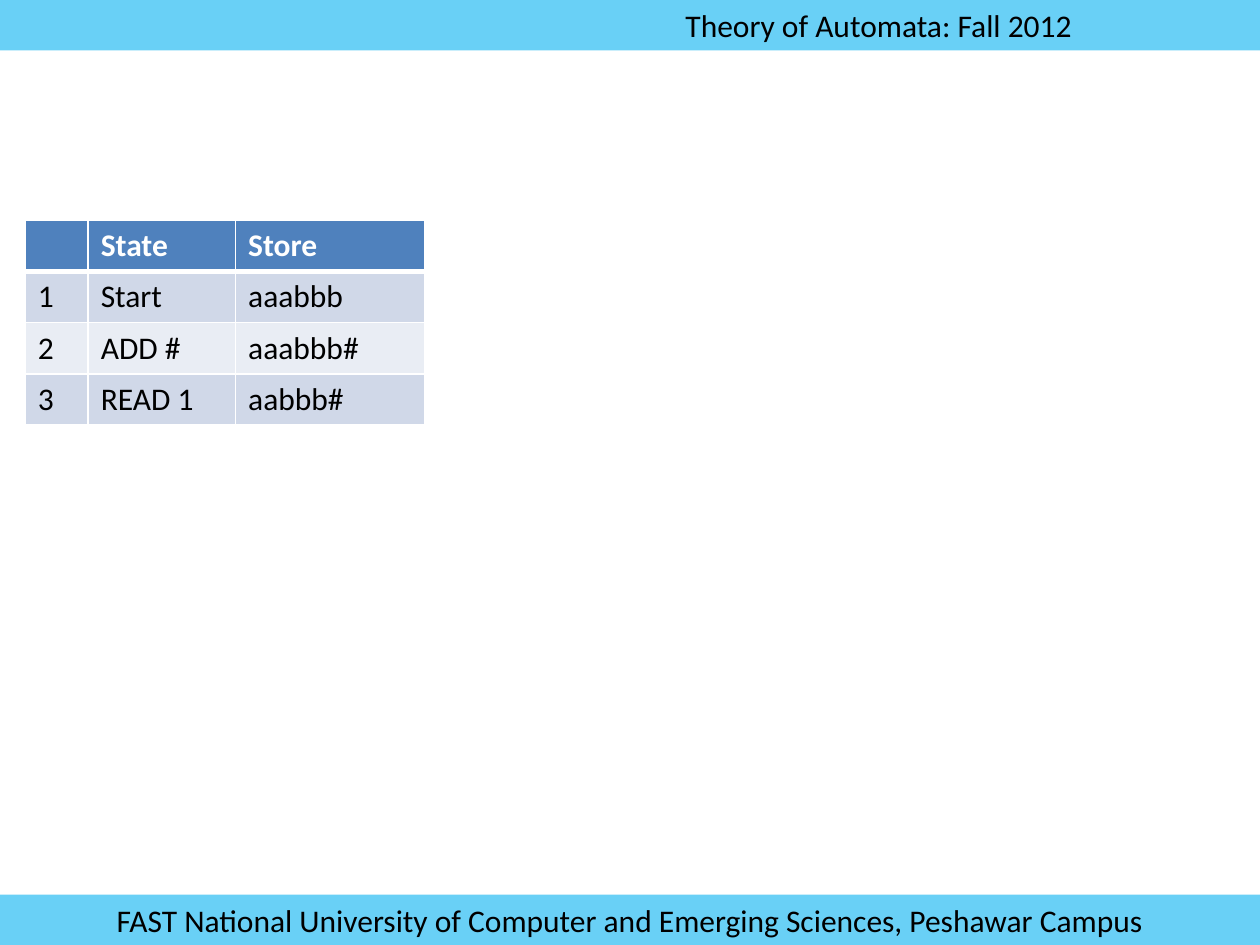
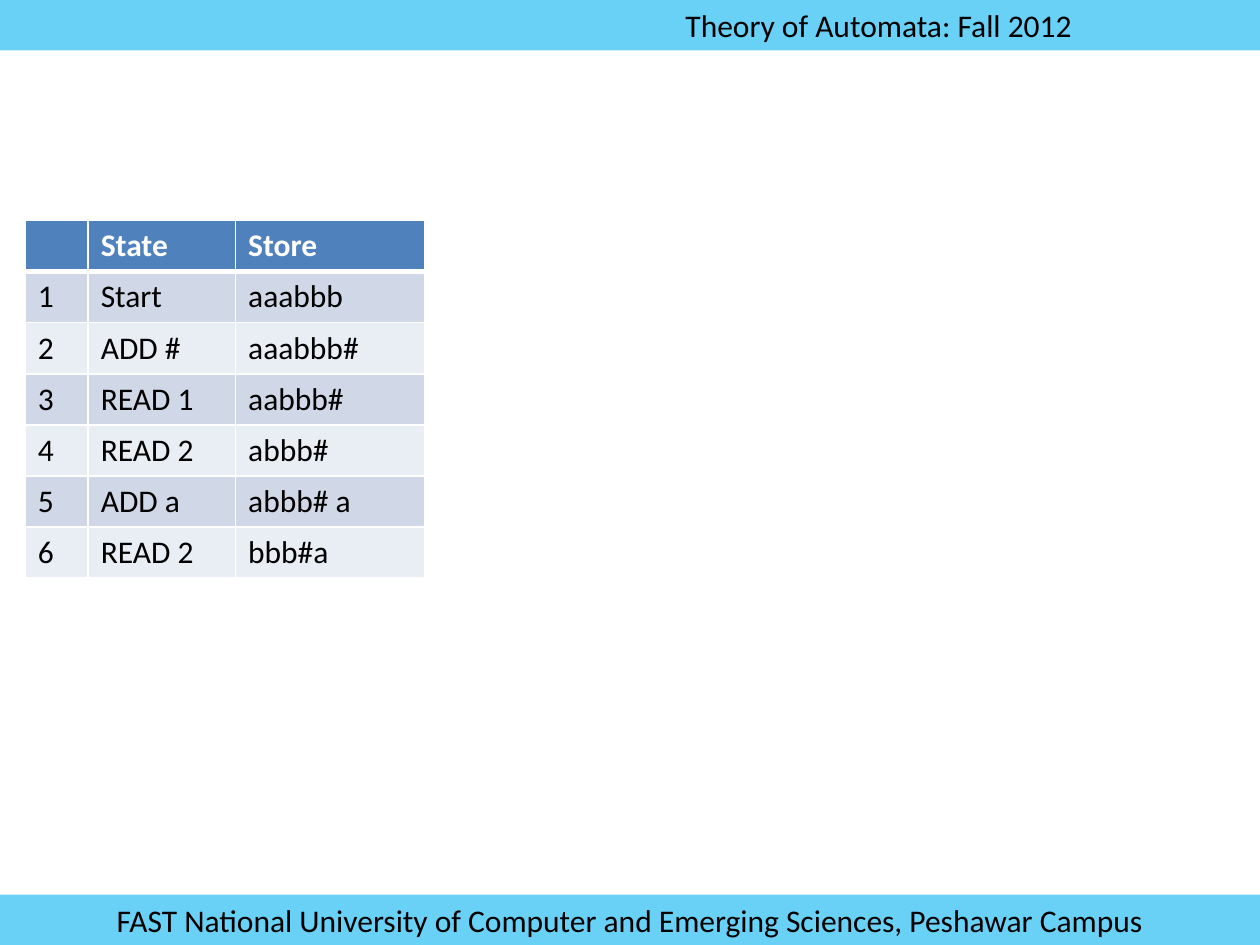
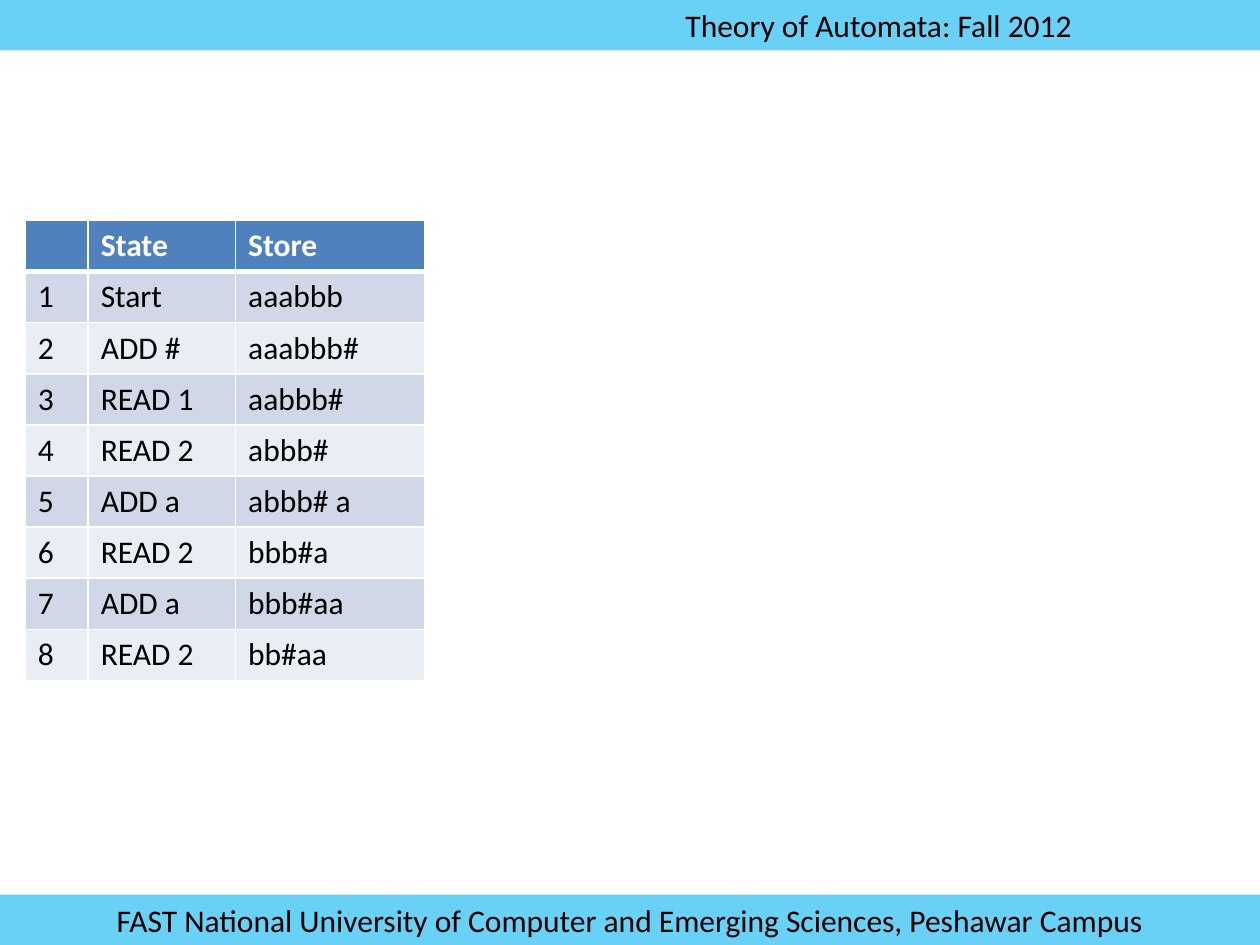
from lxml.etree import SubElement
from pptx import Presentation
from pptx.dml.color import RGBColor
from pptx.enum.shapes import MSO_SHAPE
from pptx.enum.text import MSO_ANCHOR, PP_ALIGN
from pptx.oxml.ns import qn
from pptx.util import Inches, Pt

COLOURS = {
    "band": "00B0F0",
    "header": "4F81BD",
    "odd_row": "D0D8E8",
    "even_row": "E9EDF4",
    "text": "000000",
    "white": "FFFFFF",
}
FONT = "Calibri"
TEXT_SIZE = Pt(18)
SLIDE_WIDTH, SLIDE_HEIGHT = Inches(10), Inches(7.5)
BAND_HEIGHT = Inches(0.4)
BAND_OPACITY = 59
TABLE_LEFT, TABLE_TOP = Inches(0.2), Inches(1.75)
COLUMN_WIDTHS = [Inches(width) for width in (0.5, 1.17, 1.5)]
ROW_HEIGHT = Inches(3.65) // 9

COURSE = "Theory of Automata: Fall 2012"
CAMPUS = "FAST National University of Computer and Emerging Sciences, Peshawar Campus"
TRACE = [
    ("Start", "aaabbb"),
    ("ADD #", "aaabbb#"),
    ("READ 1", "aabbb#"),
    ("READ 2", "abbb#"),
    ("ADD a", "abbb# a"),
    ("READ 2", "bbb#a"),
    ("ADD a", "bbb#aa"),
    ("READ 2", "bb#aa"),
]
STEPS_SHOWN = (3, 6, 8)


def colour(name):
    return RGBColor.from_string(COLOURS[name])


def format_paragraph(paragraph, colour_name, bold=False):
    font = paragraph.font
    font.name, font.size, font.bold = FONT, TEXT_SIZE, bold
    font.color.rgb = colour(colour_name)


def add_band(slide, top, text, alignment, left_margin):
    band = slide.shapes.add_shape(MSO_SHAPE.RECTANGLE, 0, top, SLIDE_WIDTH, BAND_HEIGHT)
    band.shadow.inherit = False
    band.line.fill.background()
    band.fill.solid()
    band.fill.fore_color.rgb = colour("band")
    fill_colour = band.element.spPr.find(qn("a:solidFill"))[0]
    SubElement(fill_colour, qn("a:alpha"), val=str(BAND_OPACITY * 1000))
    frame = band.text_frame
    frame.word_wrap = True
    frame.vertical_anchor = MSO_ANCHOR.MIDDLE
    frame.margin_left = left_margin
    frame.text = text
    paragraph = frame.paragraphs[0]
    paragraph.alignment = alignment
    format_paragraph(paragraph, "text")
    return band


def move_to_master(master, shape):
    tree = master.shapes.element
    highest_id = max(int(item.get("id")) for item in tree.iter(qn("p:cNvPr")))
    shape.element.nvSpPr.cNvPr.set("id", str(highest_id + 1))
    tree.append(shape.element)


def add_shared_bands(presentation, slide):
    header = add_band(slide, 0, COURSE, PP_ALIGN.LEFT, Inches(5.44))
    footer = add_band(slide, SLIDE_HEIGHT - BAND_HEIGHT, CAMPUS, PP_ALIGN.CENTER, Inches(0.1))
    for band in (header, footer):
        move_to_master(presentation.slide_master, band)


def set_borders(cell, bottom_width):
    properties = cell._tc.get_or_add_tcPr()
    widths = {"lnL": 1, "lnR": 1, "lnT": 1, "lnB": bottom_width}
    for position, (side, width) in enumerate(widths.items()):
        line = properties.makeelement(qn(f"a:{side}"), {"w": str(Pt(width))})
        fill = SubElement(line, qn("a:solidFill"))
        SubElement(fill, qn("a:srgbClr"), val=COLOURS["white"])
        properties.insert(position, line)


def format_cell(cell, text, row_number):
    is_header = row_number == 0
    fill_name = "header" if is_header else "odd_row" if row_number % 2 else "even_row"
    cell.text = text
    cell.fill.solid()
    cell.fill.fore_color.rgb = colour(fill_name)
    set_borders(cell, 3 if is_header else 1)
    format_paragraph(cell.text_frame.paragraphs[0], "white" if is_header else "text", is_header)


def add_trace_table(slide, step_count):
    steps = [(str(number), *step) for number, step in enumerate(TRACE[:step_count], 1)]
    rows = [("", "State", "Store"), *steps]
    table = slide.shapes.add_table(
        len(rows), len(COLUMN_WIDTHS), TABLE_LEFT, TABLE_TOP,
        sum(COLUMN_WIDTHS), ROW_HEIGHT * len(rows),
    ).table
    for column, width in zip(table.columns, COLUMN_WIDTHS):
        column.width = width
    for row_number, (row, texts) in enumerate(zip(table.rows, rows)):
        row.height = ROW_HEIGHT
        for cell, text in zip(row.cells, texts):
            format_cell(cell, text, row_number)


def main():
    presentation = Presentation()
    presentation.slide_width, presentation.slide_height = SLIDE_WIDTH, SLIDE_HEIGHT
    blank_layout = presentation.slide_layouts[6]
    slides = [presentation.slides.add_slide(blank_layout) for _ in STEPS_SHOWN]
    add_shared_bands(presentation, slides[0])
    for slide, step_count in zip(slides, STEPS_SHOWN):
        add_trace_table(slide, step_count)
    presentation.save("out.pptx")


if __name__ == "__main__":
    main()
